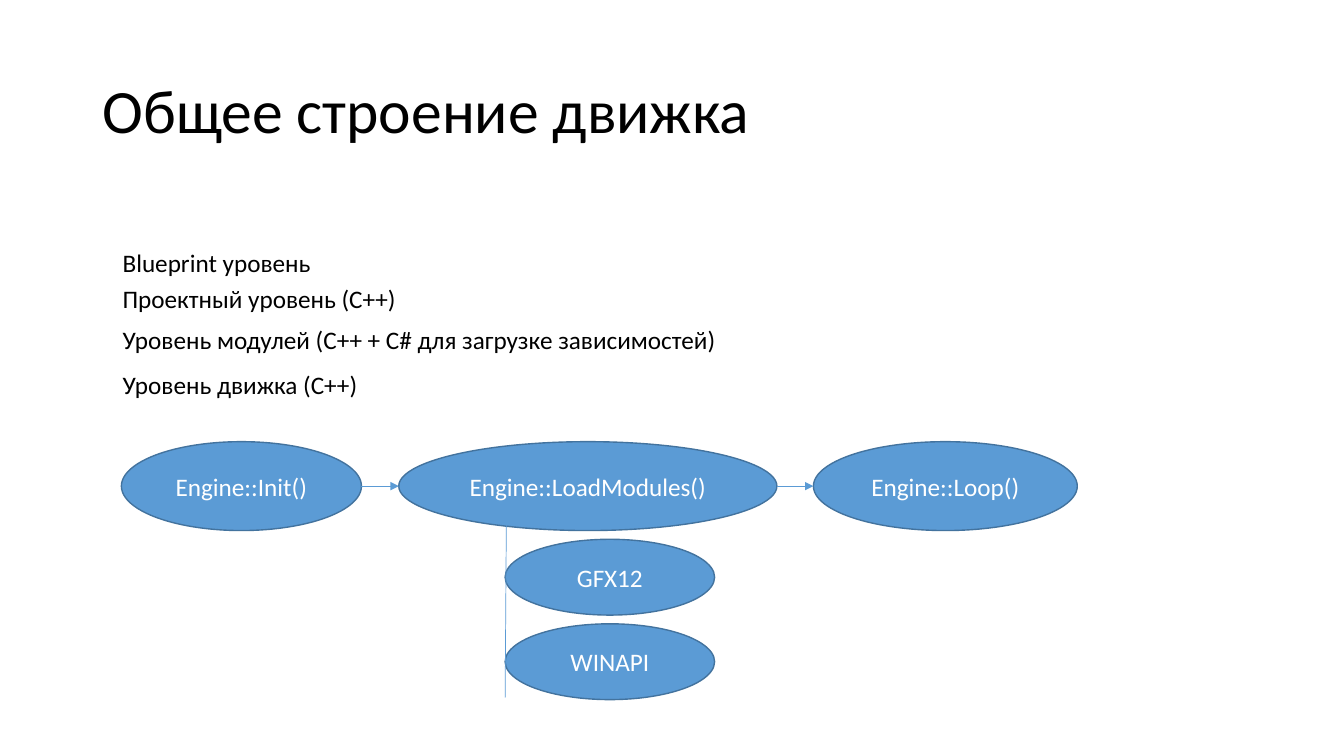
from dataclasses import dataclass
from typing import Any

from lxml.etree import SubElement
from pptx import Presentation
from pptx.dml.color import RGBColor
from pptx.enum.shapes import MSO_CONNECTOR as Connector, MSO_SHAPE as Shape
from pptx.enum.text import MSO_ANCHOR as Anchor, MSO_AUTO_SIZE as AutoSize, PP_ALIGN as Align
from pptx.oxml.ns import qn
from pptx.util import Cm, Pt


@dataclass(frozen=True)
class Theme:
    font: str = "Calibri"
    title_size: float = 44
    text_size: float = 18
    dark: str = "000000"
    light: str = "FFFFFF"
    fill: str = "5B9BD5"
    outline: str = "43739E"
    outline_width: float = 1
    link_width: float = 0.5


@dataclass(frozen=True)
class Level:
    text: str
    top: float
    width: float


@dataclass(frozen=True)
class Node:
    text: str
    left: float
    top: float
    width: float
    height: float

    @property
    def right(self) -> float:
        return self.left + self.width

    @property
    def middle(self) -> float:
        return self.top + self.height / 2


THEME = Theme()
LEVEL_LEFT, LEVEL_HEIGHT = 2.84, 1.02
STAGE_TOP, STAGE_HEIGHT = 11.13, 2.24
MODULE_LEFT, MODULE_TOP, MODULE_STEP = 12.73, 13.59, 2.13

LEVELS = [
    Level("Blueprint уровень", 6.12, 5.46),
    Level("Проектный уровень (C++)", 7.01, 7.49),
    Level("Уровень модулей (C++ + C# для загрузке зависимостей)", 8.05, 15.65),
    Level("Уровень движка (C++)", 9.19, 6.5),
]
STAGES = [
    Node(text, left, STAGE_TOP, width, STAGE_HEIGHT)
    for text, left, width in [
        ("Engine::Init()", 3.06, 6.05),
        ("Engine::LoadModules()", 10.05, 9.53),
        ("Engine::Loop()", 20.5, 6.65),
    ]
]
MODULES = [
    Node(text, MODULE_LEFT, MODULE_TOP + row * MODULE_STEP, 5.28, 1.91)
    for row, text in enumerate(["GFX12", "WINAPI"])
]


def apply_format(target: Any, values: dict[str, Any]) -> None:
    for name, value in values.items():
        setattr(target, name, value)


def write_text(shape: Any, text: str, size: float, color: str,
               frame: dict[str, Any], paragraph: dict[str, Any]) -> None:
    apply_format(shape.text_frame, frame)
    line = shape.text_frame.paragraphs[0]
    apply_format(line, paragraph)
    run = line.add_run()
    run.text = text
    apply_format(run.font, {"name": THEME.font, "size": Pt(size)})
    run.font.color.rgb = RGBColor.from_string(color)


def add_level(slide: Any, level: Level) -> None:
    box = slide.shapes.add_textbox(
        Cm(LEVEL_LEFT), Cm(level.top), Cm(level.width), Cm(LEVEL_HEIGHT))
    write_text(box, level.text, THEME.text_size, THEME.dark,
               {"word_wrap": False, "auto_size": AutoSize.SHAPE_TO_FIT_TEXT},
               {"alignment": Align.LEFT})


def add_node(slide: Any, node: Node) -> None:
    ellipse = slide.shapes.add_shape(
        Shape.OVAL, Cm(node.left), Cm(node.top), Cm(node.width), Cm(node.height))
    ellipse.shadow.inherit = False
    ellipse.fill.solid()
    ellipse.fill.fore_color.rgb = RGBColor.from_string(THEME.fill)
    ellipse.line.color.rgb = RGBColor.from_string(THEME.outline)
    ellipse.line.width = Pt(THEME.outline_width)
    write_text(ellipse, node.text, THEME.text_size, THEME.light,
               {"word_wrap": True, "vertical_anchor": Anchor.MIDDLE},
               {"alignment": Align.CENTER})


def add_link(slide: Any, start: tuple[float, float], end: tuple[float, float],
             arrow: bool = False) -> None:
    link = slide.shapes.add_connector(
        Connector.STRAIGHT, *(Cm(value) for value in (*start, *end)))
    link.line.color.rgb = RGBColor.from_string(THEME.fill)
    link.line.width = Pt(THEME.link_width)
    if arrow:
        SubElement(link.line._get_or_add_ln(), qn("a:tailEnd"), type="triangle")
    SubElement(link._element.spPr, qn("a:effectLst"))


def main() -> None:
    presentation = Presentation()
    apply_format(presentation, {"slide_width": Cm(33.87), "slide_height": Cm(19.05)})
    slide = presentation.slides.add_slide(presentation.slide_layouts[5])

    # Title
    title = slide.shapes.title
    apply_format(title, {"left": Cm(2.33), "top": Cm(1.01),
                         "width": Cm(29.21), "height": Cm(3.68)})
    write_text(title, "Общее строение движка", THEME.title_size, THEME.dark,
               {"auto_size": AutoSize.NONE, "vertical_anchor": Anchor.MIDDLE},
               {"alignment": Align.LEFT, "line_spacing": 0.9})

    # Engine levels
    for level in LEVELS:
        add_level(slide, level)

    # Start-up stages and loaded modules
    for node in STAGES + MODULES:
        add_node(slide, node)

    # Arrows between stages and the module branch
    for source, target in zip(STAGES, STAGES[1:]):
        add_link(slide, (source.right, source.middle), (target.left, target.middle), arrow=True)
    add_link(slide, (12.76, 13.21), (MODULE_LEFT, 17.58))

    presentation.save("out.pptx")


if __name__ == "__main__":
    main()
